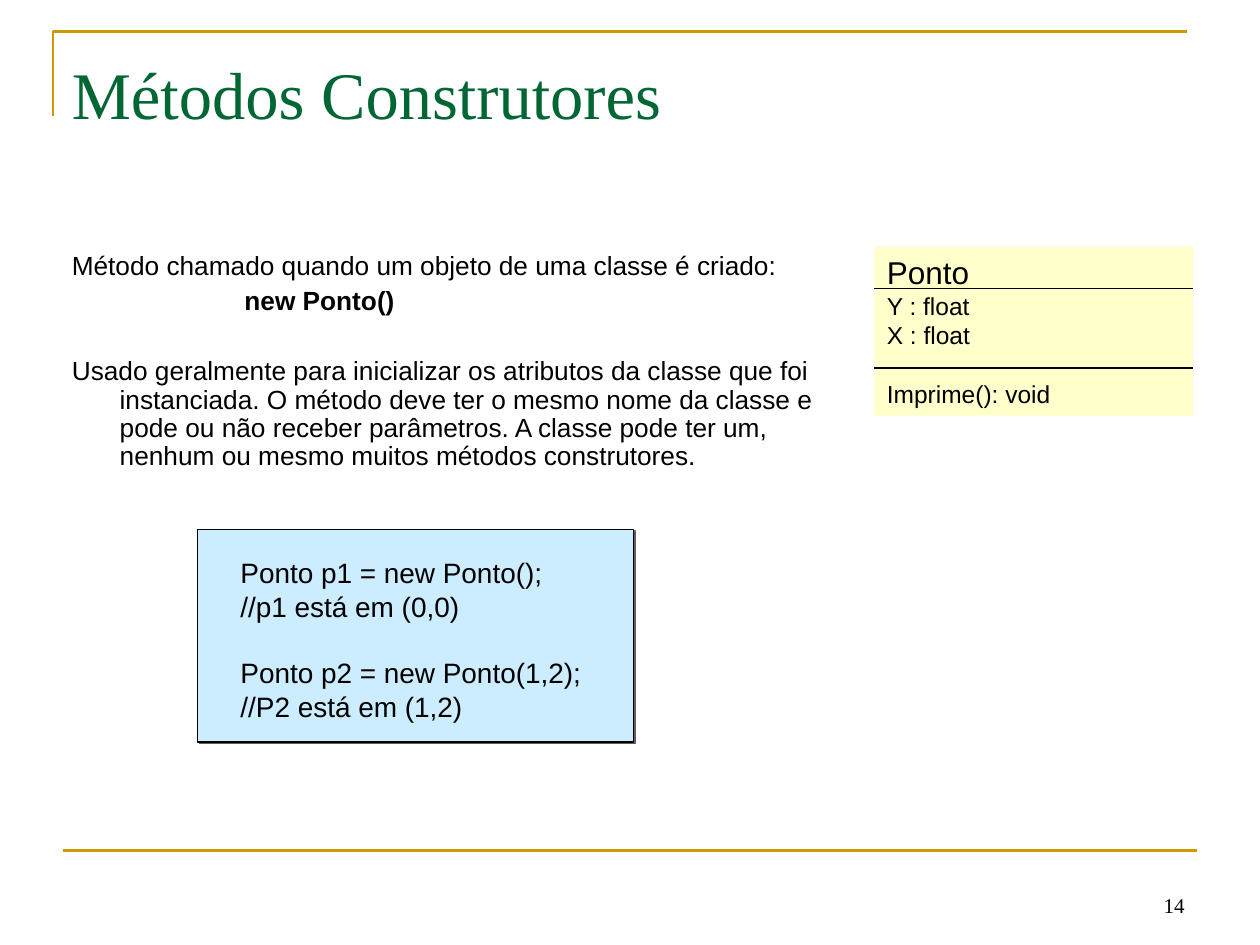
from lxml import etree
from pptx import Presentation
from pptx.dml.color import RGBColor
from pptx.enum.shapes import MSO_CONNECTOR, MSO_SHAPE
from pptx.enum.text import MSO_ANCHOR, MSO_AUTO_SIZE, PP_ALIGN
from pptx.oxml.ns import qn
from pptx.util import Pt

SCALE = 9144
SLIDE_WIDTH, SLIDE_HEIGHT = 1000, 750

BLACK = RGBColor(0x00, 0x00, 0x00)
GREEN = RGBColor(0x00, 0x66, 0x33)
GOLD = RGBColor(0xCC, 0x99, 0x00)
YELLOW = RGBColor(0xFF, 0xFF, 0xCC)
BLUE = RGBColor(0xCC, 0xEC, 0xFF)
GREY = RGBColor(0x5F, 0x5F, 0x5F)

SERIF, SANS = "Times New Roman", "Arial"
LEFT, RIGHT = PP_ALIGN.LEFT, PP_ALIGN.RIGHT
TOP, MIDDLE, BOTTOM = MSO_ANCHOR.TOP, MSO_ANCHOR.MIDDLE, MSO_ANCHOR.BOTTOM
NO_AUTOFIT = MSO_AUTO_SIZE.NONE
RECTANGLE = MSO_SHAPE.RECTANGLE
STRAIGHT = MSO_CONNECTOR.STRAIGHT


def emu(*lengths):
    return [length * SCALE for length in lengths]


def set_attributes(target, values):
    for name, value in values.items():
        setattr(target, name, value)


def place(shape, box):
    set_attributes(shape, dict(zip(("left", "top", "width", "height"), emu(*box))))


def write(shape, lines, font, anchor=TOP):
    frame = shape.text_frame
    set_attributes(frame, {"word_wrap": True, "auto_size": NO_AUTOFIT,
                           "vertical_anchor": anchor})
    for index, (text, paragraph_format, changes) in enumerate(lines):
        paragraph = frame.add_paragraph() if index else frame.paragraphs[0]
        set_attributes(paragraph, {"alignment": LEFT, **paragraph_format})
        run = paragraph.add_run()
        run.text = text
        values = {**font, **changes}
        run.font.color.rgb = values.pop("color")
        set_attributes(run.font, values)


def add_line(shapes, left, right, y, color, width):
    line = shapes.add_connector(STRAIGHT, *emu(left, y, right, y))
    line.line.color.rgb = color
    line.line.width = Pt(width)
    etree.SubElement(line._element.spPr, qn("a:effectLst"))


def add_rectangle(shapes, box, color):
    rectangle = shapes.add_shape(RECTANGLE, *emu(*box))
    rectangle.shadow.inherit = False
    rectangle.fill.solid()
    rectangle.fill.fore_color.rgb = color
    return rectangle


def add_frame(slide, box):
    left, top, width, height = box
    builder = slide.shapes.build_freeform(left, top + height, scale=SCALE)
    builder.add_line_segments([(left, top), (left + width, top)], close=False)
    corner = builder.convert_to_shape()
    corner.shadow.inherit = False
    corner.fill.background()
    corner.line.color.rgb = GOLD
    corner.line.width = Pt(1.5)
    add_line(slide.shapes, left + 8, left + width + 8, top + 650, GOLD, 1.5)


def add_page_number(slide, box, number):
    text_box = slide.shapes.add_textbox(*emu(*box))
    font = {"name": SERIF, "size": Pt(12), "color": BLACK}
    write(text_box, [(number, {"alignment": RIGHT}, {})], font, BOTTOM)


def fill_title(slide, box, text):
    title = slide.shapes.title
    place(title, box)
    write(title, [(text, {}, {})], {"name": SERIF, "size": Pt(38), "color": GREEN}, MIDDLE)


def fill_body(slide, box, lines):
    body = slide.placeholders[1]
    place(body, box)
    write(body, [(text, {"line_spacing": 0.9, "space_before": Pt(before)}, changes)
                 for text, before, changes, *_ in lines],
          {"name": SANS, "size": Pt(15), "color": BLACK, "bold": False})
    for paragraph, (*_, margin, indent) in zip(body.text_frame.paragraphs, lines):
        properties = paragraph._p.get_or_add_pPr()
        for name, length in (("marL", margin), ("indent", indent)):
            properties.set(name, str(length * SCALE))
        etree.SubElement(properties, qn("a:buNone"))


def add_class_box(slide, box, lines):
    left, top, width, _ = box
    class_box = add_rectangle(slide.shapes, box, YELLOW)
    class_box.line.fill.background()
    write(class_box, lines, {"name": SANS, "size": Pt(14), "color": BLACK})
    for offset in (33, 96):
        add_line(slide.shapes, left, left + width, top + offset, BLACK, 0.75)


def add_code_box(slide, box, lines):
    left, top, width, height = box
    group = slide.shapes.add_group_shape()
    panel = add_rectangle(group.shapes, box, BLUE)
    panel.line.color.rgb = BLACK
    panel.line.width = Pt(0.75)
    effects = panel._element.spPr.find(qn("a:effectLst"))
    shadow = etree.SubElement(effects, qn("a:outerShdw"), dist=str(Pt(1.4)),
                              dir="2700000", algn="ctr", rotWithShape="0")
    etree.SubElement(shadow, qn("a:srgbClr"), val=str(GREY))
    code = group.shapes.add_textbox(*emu(left + 24, top + 16, width - 35, height - 25))
    write(code, lines, {"name": SANS, "size": Pt(16), "color": BLACK})


def main():
    presentation = Presentation()
    presentation.slide_width, presentation.slide_height = emu(SLIDE_WIDTH, SLIDE_HEIGHT)
    slide = presentation.slides.add_slide(presentation.slide_layouts[1])

    add_frame(slide, (42, 25, 900, 67))
    add_page_number(slide, (717, 683, 233, 50), "14")
    fill_title(slide, (47, 32, 900, 83), "Métodos Construtores")
    fill_body(slide, (47, 196, 630, 193), [
        ("Método chamado quando um objeto de uma classe é criado:", 3.7, {}, 38, -38),
        ("new Ponto()", 3.7, {"bold": True}, 137, 0),
        ("Usado geralmente para inicializar os atributos da classe que foi "
         "instanciada. O método deve ter o mesmo nome da classe e pode ou não "
         "receber parâmetros. A classe pode ter um, nenhum ou mesmo muitos "
         "métodos construtores.", 23.7, {}, 38, -38),
    ])
    add_class_box(slide, (694, 196, 253, 134), [
        ("Ponto", {}, {"size": Pt(18)}),
        ("Y : float", {}, {}),
        ("X : float", {}, {}),
        ("Imprime(): void", {"space_before": Pt(16.5)}, {}),
    ])
    add_code_box(slide, (157, 420, 346, 169), [
        ("Ponto p1 = new Ponto();", {}, {}),
        ("//p1 está em (0,0)", {}, {}),
        ("Ponto p2 = new Ponto(1,2);", {"space_before": Pt(19)}, {}),
        ("//P2 está em (1,2)", {}, {}),
    ])
    presentation.save("out.pptx")


if __name__ == "__main__":
    main()
